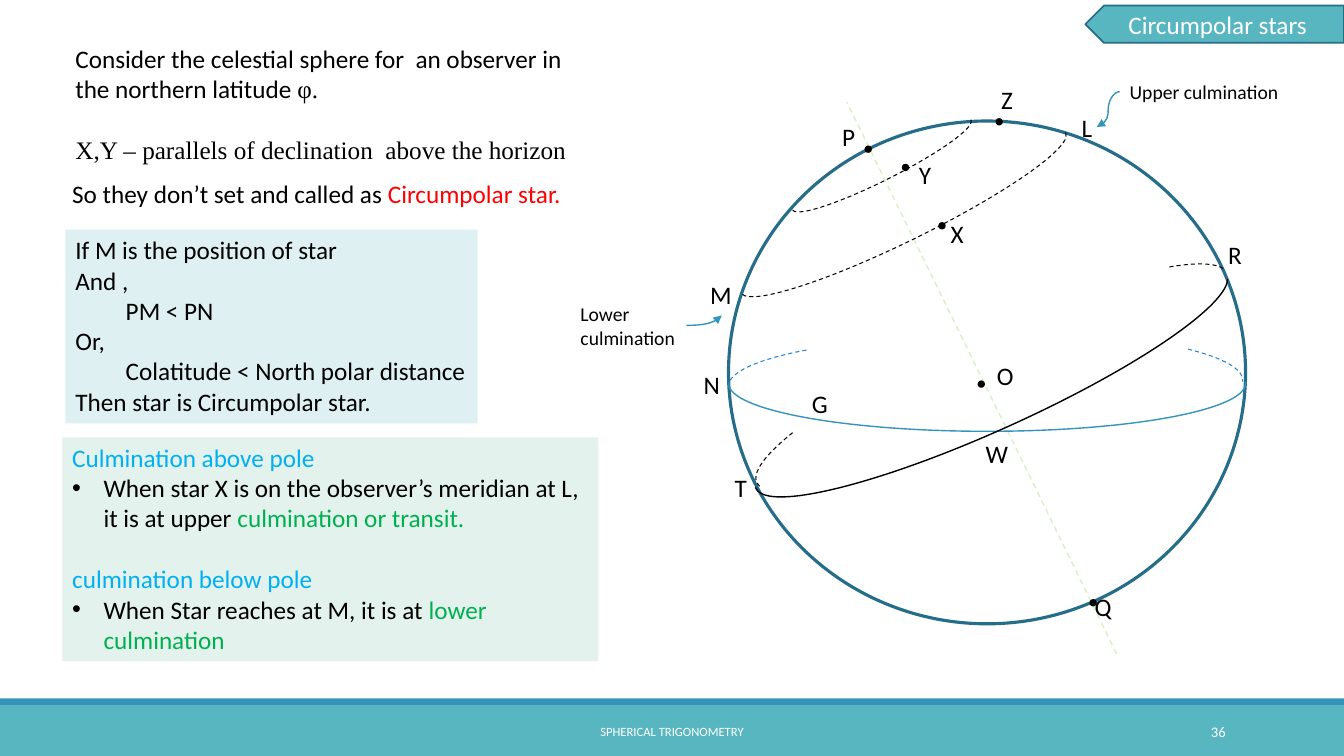
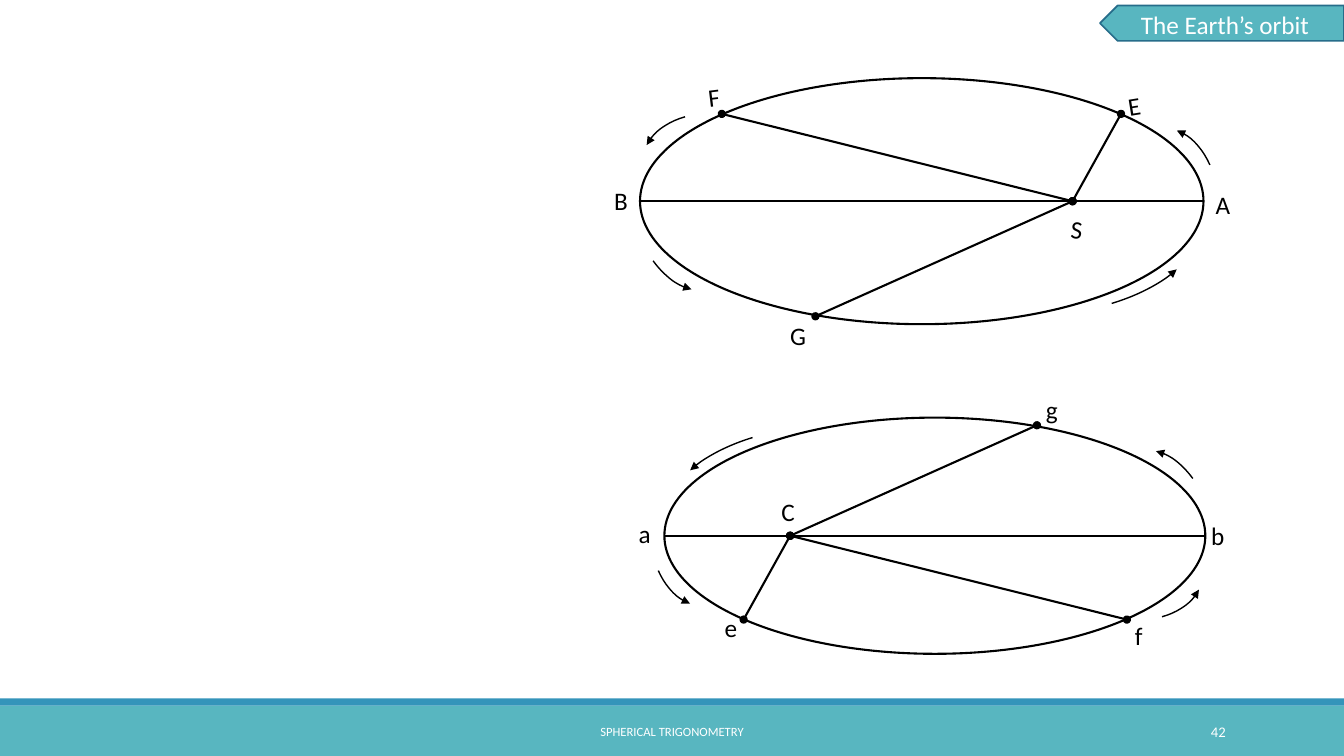
from dataclasses import dataclass

from lxml import etree
from pptx import Presentation
from pptx.dml.color import RGBColor
from pptx.enum import dml, shapes, text
from pptx.oxml.ns import qn
from pptx.util import Cm, Pt

WIDTH, HEIGHT = 33.87, 19.05
TEAL, BLUE, NAVY, SKY = "58B6C0", "3494BA", "266D8A", "2683C6"
BLACK, WHITE, RED, CYAN, GREEN = "000000", "FFFFFF", "FF0000", "00B0F0", "00B050"
AXIS_GREEN, PALE_TEAL, PALE_GREEN = "92D050", "DEF0F2", "E3F2ED"
BODY, SERIF = "Calibri", "Times New Roman"
SHAPE, ALIGN, ANCHOR = shapes.MSO_SHAPE, text.PP_ALIGN, text.MSO_ANCHOR


@dataclass
class Para:
    """Runs are (words, colour) or (words, colour, font)."""
    runs: list
    indent: float = 0
    bullet: bool = False
    gap: float = 0


def rgb(hex_code):
    return RGBColor.from_string(hex_code)


def style_font(font, size, color=BLACK, name=BODY):
    font.size, font.name = Pt(size), name
    font.color.rgb = rgb(color)


def style_line(item, color, width, dashed=False, head=None, tail=None):
    line = item.line
    line.color.rgb = rgb(color)
    line.width = Pt(width)
    if dashed:
        line.dash_style = dml.MSO_LINE.DASH
    for tag, kind in (("a:headEnd", head), ("a:tailEnd", tail)):
        if kind:
            etree.SubElement(line._ln, qn(tag), type=kind)


def add_preset(slide, kind, box, fill=None, line=None, width=1, rotation=0, **ends):
    shape = slide.shapes.add_shape(kind, *map(Cm, box))
    shape.shadow.inherit = False
    shape.rotation = rotation
    if fill:
        shape.fill.solid()
        shape.fill.fore_color.rgb = rgb(fill)
    else:
        shape.fill.background()
    if line:
        style_line(shape, line, width, **ends)
    else:
        shape.line.fill.background()
    return shape


def add_arc(slide, box, start, end, color=BLACK, width=1, rotation=0, **ends):
    """Arc of the ellipse in box, clockwise between two angles in degrees."""
    arc = add_preset(slide, SHAPE.ARC, box, None, color, width, rotation, **ends)
    for index, angle in enumerate((start, end)):
        arc.adjustments[index] = angle * 0.6


def add_line(slide, start, end, color=BLACK, width=1,
             kind=shapes.MSO_CONNECTOR.STRAIGHT, **ends):
    line = slide.shapes.add_connector(kind, *map(Cm, (*start, *end)))
    style_line(line, color, width, **ends)
    etree.SubElement(line._element.spPr, qn("a:effectLst"))
    return line


def add_dot(slide, x, y):
    add_preset(slide, SHAPE.OVAL, (x - 0.07, y - 0.07, 0.14, 0.14), BLACK, BLACK, 1.25)


def fill_paragraph(paragraph, content, size):
    props = paragraph._p.get_or_add_pPr()
    if content.indent:
        props.set("marL", str(Cm(content.indent)))
    if content.bullet:
        props.set("indent", str(-Cm(content.indent)))
        etree.SubElement(props, qn("a:buFont"), typeface="Arial")
        etree.SubElement(props, qn("a:buChar"), char="•")
    if content.gap:
        paragraph.space_before = Pt(content.gap)
    uniform = len(content.runs) == 1
    for words, *look in content.runs:
        run = paragraph.add_run()
        run.text = words
        style_font(paragraph.font if uniform else run.font, size, *look)


def add_text(slide, box, paragraphs, size=18, fill=None, align=ALIGN.LEFT,
             anchor=ANCHOR.TOP):
    block = slide.shapes.add_textbox(*map(Cm, box))
    if fill:
        block.fill.solid()
        block.fill.fore_color.rgb = rgb(fill)
    frame = block.text_frame
    frame.word_wrap = True
    frame.vertical_anchor = anchor
    for index, content in enumerate(paragraphs):
        paragraph = frame.add_paragraph() if index else frame.paragraphs[0]
        fill_paragraph(paragraph, content, size)
        paragraph.alignment = align
    return block


def add_label(slide, letter, x, y, tilt=0):
    """Letter centred on a point of the diagram."""
    label = add_text(slide, (x - 0.5, y - 0.5, 1, 1), [Para([(letter, BLACK)])],
                     align=ALIGN.CENTER, anchor=ANCHOR.MIDDLE)
    frame = label.text_frame
    frame.margin_left = frame.margin_right = 0
    frame.margin_top = frame.margin_bottom = 0
    label.rotation = tilt


def add_title_tag(slide, title, width, height):
    left = WIDTH - width
    add_preset(slide, SHAPE.PENTAGON, (left, 0.14, width, height), TEAL, NAVY, 1.25, 180)
    heading = slide.shapes.title
    slide.shapes._spTree.append(heading._element)  # bring in front of the tag
    heading.left, heading.top = Cm(left + 0.15), Cm(0.1)
    heading.width, heading.height = Cm(width - 0.15), Cm(1.02)
    frame = heading.text_frame
    frame.text = title
    frame.auto_size = text.MSO_AUTO_SIZE.NONE
    frame.vertical_anchor = ANCHOR.MIDDLE
    frame.paragraphs[0].alignment = ALIGN.CENTER
    style_font(frame.paragraphs[0].font, 18, WHITE)


def new_slide(deck, title, tag_size, number):
    """Title-only slide with the bottom bands, footer, number and title tag."""
    slide = deck.slides.add_slide(deck.slide_layouts[5])
    add_preset(slide, SHAPE.RECTANGLE, (0, 17.78, WIDTH, 1.27), TEAL)
    add_preset(slide, SHAPE.RECTANGLE, (0, 17.6, WIDTH, 0.18), BLUE)
    add_text(slide, (10.24, 17.93, 13.39, 1.02),
             [Para([("SPHERICAL TRIGONOMETRY", WHITE)])], 9,
             align=ALIGN.CENTER, anchor=ANCHOR.MIDDLE)
    add_text(slide, (27.51, 17.93, 3.63, 1.02), [Para([(number, WHITE)])], 10.5,
             align=ALIGN.RIGHT, anchor=ANCHOR.MIDDLE)
    add_title_tag(slide, title, *tag_size)
    return slide


def add_star_notes(slide):
    add_text(slide, (1.65, 0.97, 13.34, 3.33), [
        Para([("Consider the celestial sphere for  an observer in the northern latitude ",
               BLACK), ("φ.", BLACK, SERIF)]),
        Para([("X,Y – parallels of declination  above the horizon", BLACK, SERIF)], gap=22),
    ])
    add_text(slide, (1.57, 4.37, 13.72, 1.02), [
        Para([("So they don’t set and called as ", BLACK), ("Circumpolar star.", RED)])])
    conditions = [("If M is the position of star", 0), ("And ,", 0), ("PM < PN", 1.27),
                  ("Or,", 0), ("Colatitude < North polar distance", 1.27),
                  ("Then star is Circumpolar star.", 0)]
    add_text(slide, (1.65, 5.79, 10.39, 4.88),
             [Para([(words, BLACK)], indent) for words, indent in conditions],
             fill=PALE_TEAL)
    add_text(slide, (1.57, 11.02, 13.51, 5.64), [
        Para([("Culmination above pole", CYAN)]),
        Para([("When star X is on the observer’s meridian at L, it is at upper ", BLACK),
              ("culmination or transit.", GREEN)], 0.79, True),
        Para([("culmination below pole", CYAN)], gap=22),
        Para([("When Star reaches at M, it is at ", BLACK),
              ("lower culmination", GREEN)], 0.79, True),
    ], fill=PALE_GREEN)


def add_culmination_notes(slide):
    add_text(slide, (14.38, 7.49, 2.9, 1.45), [Para([("Lower culmination", BLACK)])], 14)
    add_text(slide, (28.22, 1.88, 4.42, 0.86), [Para([("Upper culmination", BLACK)])], 14)
    curve = shapes.MSO_CONNECTOR.CURVE
    add_line(slide, (28.22, 2.31), (27.64, 3.2), BLUE, kind=curve, tail="triangle")
    lower = add_line(slide, (17.3, 8.2), (18.19, 7.95), BLUE, kind=curve, tail="triangle")
    lower._element.spPr.find(qn("a:prstGeom")).set("prst", "curvedConnector2")


def add_celestial_sphere(slide):
    axis = add_line(slide, (28.14, 16.48), (21.34, 2.57), AXIS_GREEN, dashed=True)
    axis_color = next(axis.line._ln.iter(qn("a:srgbClr")))
    etree.SubElement(axis_color, qn("a:alpha"), val="32000")

    diameter = 13.03
    add_preset(slide, SHAPE.OVAL, (18.36, 3.05, diameter, 12.67), None, NAVY, 2.25)
    # Horizon, then equator: front half and the two ends of the hidden half
    add_arc(slide, (18.36, 8.46, diameter, 2.41), 359.75, 180.25, BLUE)
    add_arc(slide, (18.47, 8.41, diameter, 2.41), 0.92, 180.25, rotation=335.6)
    hidden_ends = [
        (18.36, 8.46, 179.75, 191.34, SKY, 0), (18.29, 8.31, 351.34, 0.34, SKY, 0),
        (18.49, 8.31, 351.83, 358.72, BLACK, 335.6),
        (18.49, 8.2, 178.98, 188.71, BLACK, 335.6),
    ]
    for left, top, start, end, color, rotation in hidden_ends:
        add_arc(slide, (left, top, diameter, 2.54), start, end, color, 0.75, rotation,
                dashed=True)
    # Parallels of declination through X and Y
    for box, rotation in (((18.21, 4.67, 9.12, 1.4), 333.8),
                          ((19.71, 3.78, 5.03, 0.76), 333.3)):
        add_arc(slide, box, 359.75, 180.25, BLACK, 0.75, rotation, dashed=True)

    for point in ((21.88, 3.76), (22.82, 4.22), (23.74, 5.69), (24.73, 9.68),
                  (25.18, 3.07), (27.55, 15.19)):
        add_dot(slide, *point)
    for label in (("Z", 25.38, 2.51), ("P", 21.39, 3.43), ("N", 17.94, 9.7),
                  ("M", 18.17, 7.42), ("T", 18.67, 12.29), ("O", 25.33, 9.45),
                  ("W", 25.12, 11.43), ("X", 24.12, 5.89), ("G", 20.66, 10.16),
                  ("L", 27.39, 3.2), ("R", 31.12, 6.4), ("Q", 27.8, 15.29),
                  ("Y", 23.31, 4.39)):
        add_label(slide, *label)


def add_orbit(slide, center, scale, turned, labels):
    """Orbit with its axis, three radii and motion arrows; turned is a half turn."""
    sign = -1 if turned else 1

    def place(dx, dy):
        return center[0] + sign * scale * dx, center[1] + sign * scale * dy

    def box_around(dx, dy, width, height):
        x, y = place(dx, dy)
        width, height = width * scale, height * scale
        return x - width / 2, y - height / 2, width, height

    add_preset(slide, SHAPE.OVAL, box_around(0, 0, 14.2, 6.2), None, BLACK, 1.5)
    add_line(slide, place(-7.1, 0), place(7.1, 0), width=1.5)
    for planet in ((-5.04, -2.2), (5.02, -2.2), (-2.68, 2.9)):
        add_line(slide, place(3.8, 0), place(*planet), width=1.5, head="oval", tail="oval")
    motion = [
        ((6.38, -0.42, 2, 2.9), 290.54, 349.28, 341.5),
        ((-6.1, 0.69, 2, 3.33), 106.26, 156.82, 332.7),
        ((-5.6, -1.17, 2.03, 2.87), 290.54, 349.28, 259.9),
        ((4.51, 1.6, 2.03, 4.8), 290.54, 1.27, 73),
    ]
    for place_and_size, start, end, rotation in motion:
        add_arc(slide, box_around(*place_and_size), start, end,
                rotation=(rotation + 180 * turned) % 360, head="triangle")
    for label in labels:
        add_label(slide, *label)


def main():
    deck = Presentation()
    deck.slide_width, deck.slide_height = Cm(WIDTH), Cm(HEIGHT)

    stars = new_slide(deck, "Circumpolar stars", (6.52, 0.94), "36")
    add_star_notes(stars)
    add_celestial_sphere(stars)
    add_culmination_notes(stars)

    orbits = new_slide(deck, "The Earth’s orbit", (6.15, 0.89), "42")
    add_orbit(orbits, (23.23, 5.07), 1, False, [
        ("B", 15.65, 5.05), ("F", 17.99, 2.45, -7), ("S", 27.14, 5.78, 5.3),
        ("A", 30.82, 5.15), ("E", 28.58, 2.65, -9.1), ("G", 20.11, 8.45)])
    add_orbit(orbits, (23.56, 13.5), 0.96, True, [
        ("b", 30.69, 13.49), ("f", 28.7, 16), ("C", 19.86, 12.9),
        ("a", 16.25, 13.44), ("e", 18.42, 15.8), ("g", 26.51, 10.31)])

    deck.save("out.pptx")


if __name__ == "__main__":
    main()
